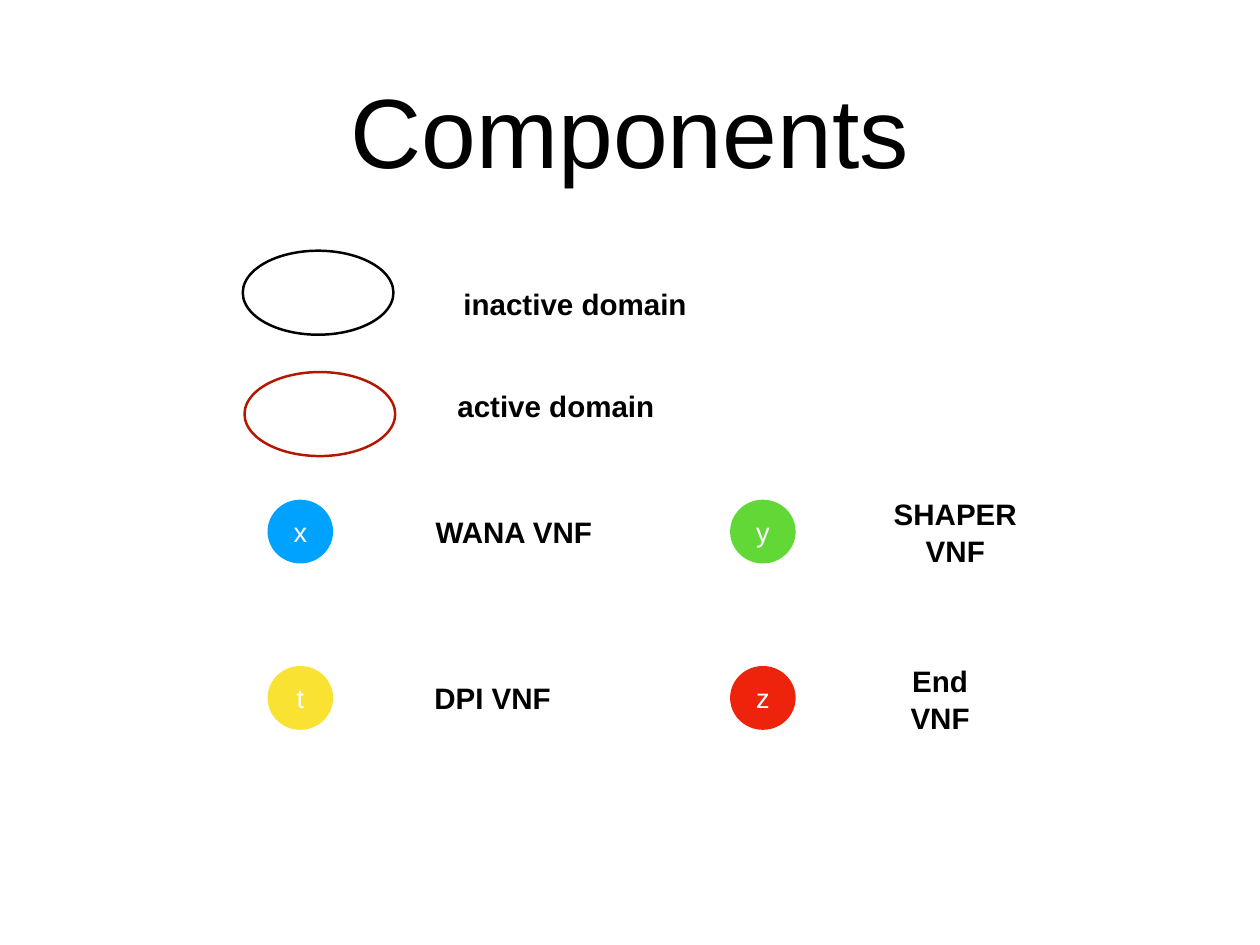
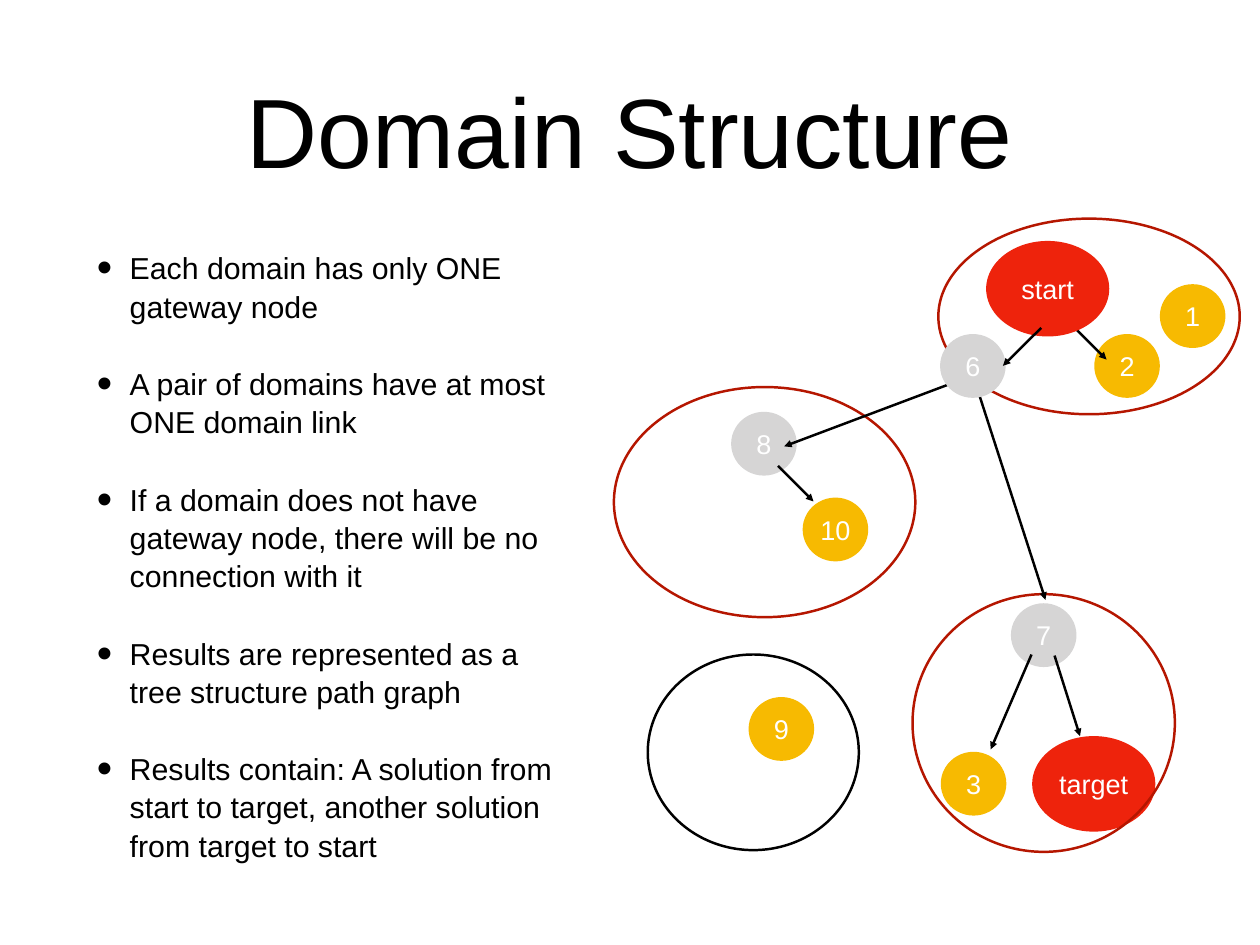
"""Builds two slides on network domains: a legend and an example structure."""
from lxml.etree import SubElement
from pptx import Presentation
from pptx.dml.color import RGBColor
from pptx.enum.shapes import MSO_CONNECTOR, MSO_SHAPE
from pptx.enum.text import MSO_ANCHOR, PP_ALIGN
from pptx.oxml.ns import qn
from pptx.util import Cm, Pt

FONT = "Arial"
BLACK, WHITE = "000000", "FFFFFF"
ACTIVE, INACTIVE = "B51600", BLACK
RED, BLUE, GREEN, YELLOW = "EE230C", "00A2FF", "61D836", "FAE232"
GATEWAY, PLAIN = "D6D5D5", "F7BA01"

SMALL, LARGE = (1.88, 1.83), (3.53, 2.74)
INSET, BULLET_INDENT = 0.14, 0.94
TITLE_BOX = (2.64, 0.71, 30.84, 5.99)
BODY_BOX = (2.64, 7.19, 13.79, 17.48)
LINE_SPACING = 1.05

LEGEND_COLUMNS, LEGEND_ROWS = (7.67, 20.93), (14.33, 19.1)
ONE_LINE, TWO_LINES = 1.27, 2.3
LEGEND_DOMAINS = [
    (INACTIVE, 6.96, 7.19, 4.32, 2.41),
    (ACTIVE, 7.01, 10.67, 4.32, 2.41),
]
DOMAIN_LABELS = [
    ("inactive domain", 13.13, 8.08, 6.71),
    ("active domain", 12.95, 11, 5.97),
]
LEGEND_NODES = [
    [("x", BLUE, "WANA VNF", 12.34, 4.78, ONE_LINE),
     ("y", GREEN, "SHAPER VNF", 25.48, 3.81, TWO_LINES)],
    [("t", YELLOW, "DPI VNF", 12.29, 3.66, ONE_LINE),
     ("z", RED, "End VNF", 25.9, 2.1, TWO_LINES)],
]

POINTS = [
    "Each domain has only ONE gateway node",
    "A pair of domains have at most ONE domain link",
    "If a domain does not have gateway node, there will be no connection with it",
    "Results are represented as a tree structure path graph",
    "Results contain: A solution from start to target, another solution from target to start",
]
BACK_NODES = [
    ("8", GATEWAY, 20.96, 11.81, SMALL),
    ("target", RED, 29.59, 21.11, LARGE),
]
DOMAINS = [
    (ACTIVE, 26.9, 6.27, 8.64, 5.61),
    (ACTIVE, 26.16, 17.04, 7.52, 7.39),
    (ACTIVE, 17.6, 11.1, 8.64, 6.6),
    (INACTIVE, 18.57, 18.77, 6.05, 5.61),
]
NODES = [
    ("1", PLAIN, 33.25, 8.15, SMALL),
    ("2", PLAIN, 31.37, 9.58, SMALL),
    ("3", PLAIN, 26.97, 21.56, SMALL),
    ("10", PLAIN, 23.01, 14.27, SMALL),
    ("7", GATEWAY, 28.98, 17.3, SMALL),
    ("9", PLAIN, 21.46, 19.99, SMALL),
]
ARROWS = [
    (27.61, 10.87, 22.48, 12.8),
    (22.3, 13.36, 23.32, 14.38),
    (30.71, 9.3, 31.72, 10.31),
    (27.99, 11.07, 29.97, 17.2),
    (29.57, 18.77, 28.4, 21.49),
    (30.23, 18.8, 30.96, 21.11),
]
FRONT_NODES = [
    ("start", RED, 28.27, 6.91, LARGE),
    ("6", GATEWAY, 26.95, 9.58, SMALL),
]
FRONT_ARROWS = [(29.85, 9.4, 28.75, 10.49)]


def color(value):
    return RGBColor.from_string(value)


def lengths(*values):
    return [Cm(value) for value in values]


def write(shape, lines, size, ink=BLACK, bold=False, align=PP_ALIGN.CENTER, wrap=True):
    frame = shape.text_frame
    frame.word_wrap = wrap
    frame.vertical_anchor = MSO_ANCHOR.MIDDLE
    frame.margin_left = frame.margin_right = Cm(INSET)
    frame.margin_top = frame.margin_bottom = Cm(INSET)
    frame.text = "\n".join(lines)
    for para in frame.paragraphs:
        para.alignment = align
        for span in para.runs:
            span.font.name = FONT
            span.font.size = Pt(size)
            span.font.bold = bold
            span.font.color.rgb = color(ink)
    return frame


def add_text(page, place, lines, size, **style):
    return write(page.shapes.add_textbox(*lengths(*place)), lines, size, **style)


def add_ellipse(page, *place):
    shape = page.shapes.add_shape(MSO_SHAPE.OVAL, *lengths(*place))
    shape.shadow.inherit = False
    return shape


def add_node(page, name, fill, left, top, size):
    node = add_ellipse(page, left, top, *size)
    node.fill.solid()
    node.fill.fore_color.rgb = color(fill)
    node.line.fill.background()
    write(node, [name], 22, ink=WHITE, wrap=size == LARGE)


def add_domain(page, outline, *place):
    domain = add_ellipse(page, *place)
    domain.fill.background()
    domain.line.color.rgb = color(outline)
    domain.line.width = Pt(2)


def add_arrow(page, *ends):
    arrow = page.shapes.add_connector(MSO_CONNECTOR.STRAIGHT, *lengths(*ends))
    arrow.line.color.rgb = color(BLACK)
    arrow.line.width = Pt(2)
    properties = arrow._element.spPr
    SubElement(properties.find(qn("a:ln")), qn("a:tailEnd"), type="triangle")
    SubElement(properties, qn("a:effectLst"))


def add_label(page, text, left, top, width, height=ONE_LINE):
    wrap = height == TWO_LINES
    frame = add_text(page, (left, top, width, height), [text], 24, bold=True, wrap=wrap)
    if wrap:
        frame.paragraphs[0].line_spacing = LINE_SPACING


def add_bullets(page):
    frame = add_text(page, BODY_BOX, POINTS, 24.6, align=PP_ALIGN.LEFT)
    for para in frame.paragraphs:
        para.space_before = Pt(32)
        para.line_spacing = LINE_SPACING
        properties = para._p.get_or_add_pPr()
        properties.set("marL", str(Cm(BULLET_INDENT)))
        properties.set("indent", str(-Cm(BULLET_INDENT)))
        SubElement(properties, qn("a:buSzPct"), val="145000")
        SubElement(properties, qn("a:buFont"), typeface=FONT)
        SubElement(properties, qn("a:buChar"), char="•")


def add_page(deck, title):
    page = deck.slides.add_slide(deck.slide_layouts[6])
    page.background.fill.solid()
    page.background.fill.fore_color.rgb = color(WHITE)
    add_text(page, TITLE_BOX, [title], 80)
    return page


def build_components(deck):
    page = add_page(deck, "Components")
    for domain in LEGEND_DOMAINS:
        add_domain(page, *domain)
    for label in DOMAIN_LABELS:
        add_label(page, *label)
    for top, row in zip(LEGEND_ROWS, LEGEND_NODES):
        for left, (name, fill, text, label_left, width, height) in zip(LEGEND_COLUMNS, row):
            add_node(page, name, fill, left, top, SMALL)
            label_top = top + (SMALL[1] - height) / 2
            add_label(page, text, label_left, label_top, width, height)


def build_structure(deck):
    page = add_page(deck, "Domain Structure")
    layers = [
        (add_node, BACK_NODES),
        (add_domain, DOMAINS),
        (add_node, NODES),
        (add_arrow, ARROWS),
        (add_node, FRONT_NODES),
        (add_arrow, FRONT_ARROWS),
    ]
    for add, items in layers:
        for item in items:
            add(page, *item)
    add_bullets(page)


def main():
    deck = Presentation()
    deck.slide_width, deck.slide_height = lengths(36.12, 27.1)
    build_components(deck)
    build_structure(deck)
    deck.save("out.pptx")


if __name__ == "__main__":
    main()
